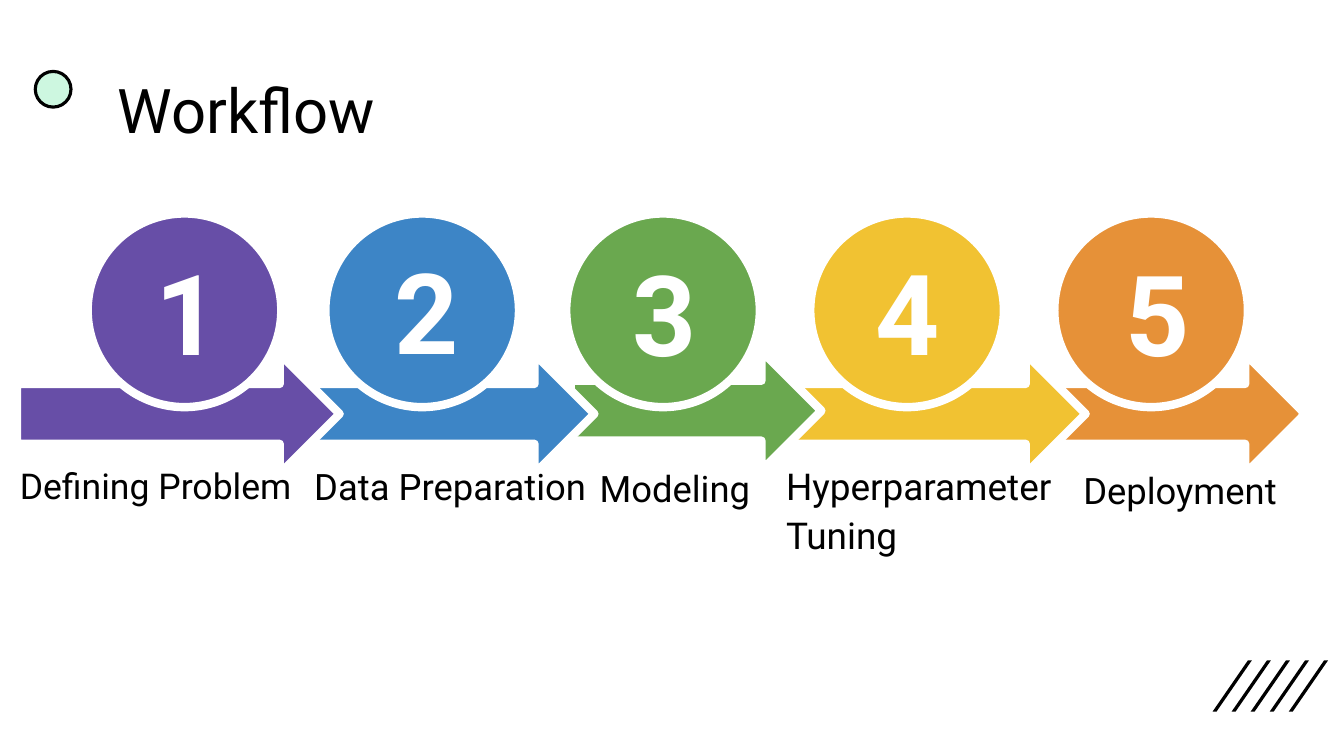
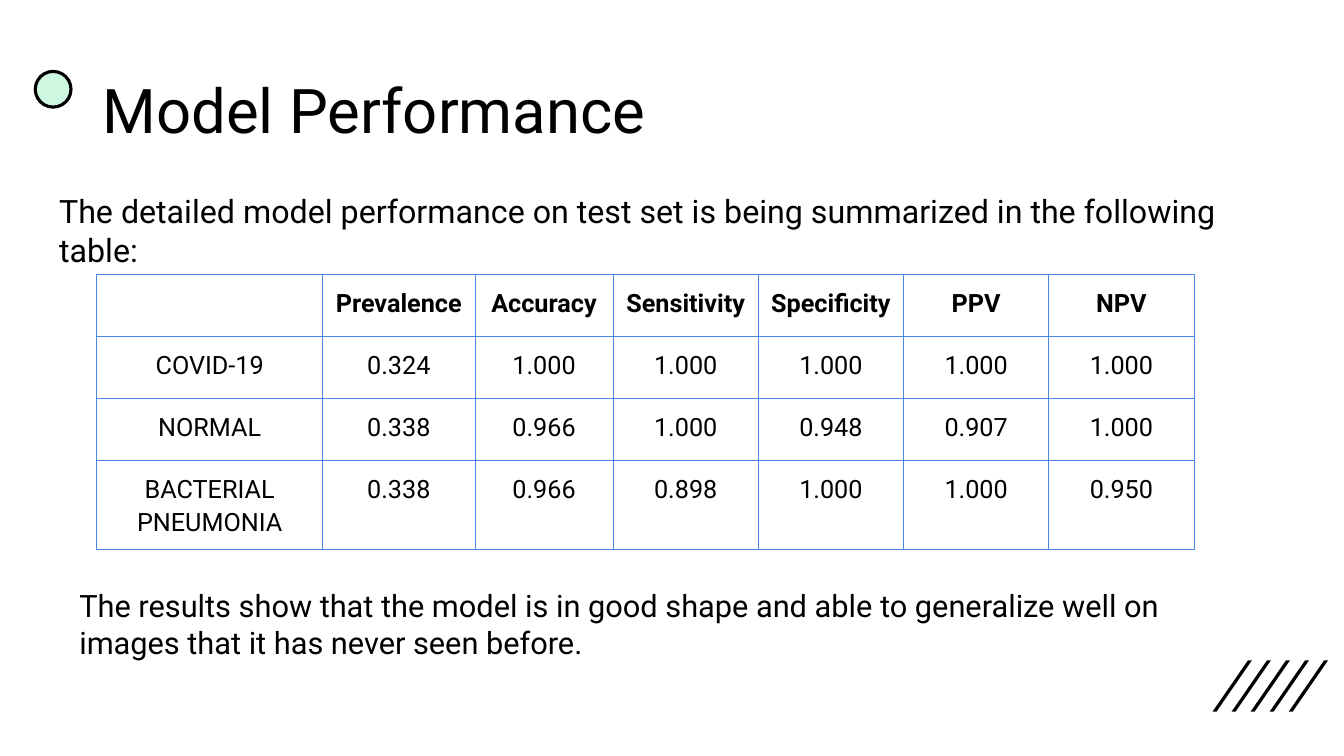
from lxml.etree import SubElement
from pptx import Presentation
from pptx.dml.color import RGBColor
from pptx.enum.shapes import MSO_SHAPE as Kind
from pptx.enum.text import MSO_ANCHOR as Anchor, PP_ALIGN as Align
from pptx.oxml.ns import qn
from pptx.util import Cm, Pt

FONT = "Roboto"
BLACK, WHITE, MINT, BLUE = "000000", "FFFFFF", "CDF7E0", "4A86E8"

STEPS = [
    dict(name="Defining Problem", color="674EA7", size=25.4, arrow=(0.43, 8.92, 8.13),
         disc=2.21, digit=(3.66, 5.89), label=(0.25, 11.33, 7.8, 3.18)),
    dict(name="Data Preparation", color="3D85C6", size=26, arrow=(7.26, 8.92, 7.72),
         disc=8.2, digit=(9.7, 5.87), label=(7.67, 11.33, 9.5, 3.18)),
    dict(name="Modeling", color="6AA84F", size=26, arrow=(14.38, 8.84, 6.32),
         disc=14.27, digit=(15.7, 5.92), label=(14.86, 11.38, 4.88, 2.24)),
    dict(name="Hyperparameter Tuning", color="F1C232", size=26.4, arrow=(19.56, 8.92, 7.8),
         disc=20.42, digit=(21.82, 5.89), label=(19.56, 11.33, 9.22, 3.18)),
    dict(name="Deployment", color="E69138", size=26, arrow=(26.57, 8.92, 6.32),
         disc=26.57, digit=(28.12, 5.92), label=(27.05, 11.43, 5.84, 1.7)),
]

INTRO = "The detailed model performance on test set is being summarized in the following table:"
RESULT = ("The results show that the model is in good shape and able to generalize well on "
          "images that it has never seen before.")
SCORES = [
    ["", "Prevalence", "Accuracy", "Sensitivity", "Specificity", "PPV", "NPV"],
    ["COVID-19", "0.324", "1.000", "1.000", "1.000", "1.000", "1.000"],
    ["NORMAL", "0.338", "0.966", "1.000", "0.948", "0.907", "1.000"],
    ["BACTERIAL PNEUMONIA", "0.338", "0.966", "0.898", "1.000", "1.000", "0.950"],
]
COLS = [5.69, 3.84, 3.48] + [3.66] * 4
ROWS = [1.56] * 3 + [2.13]


def rgb(color):
    return RGBColor.from_string(color)


def paint(shape, fill, line=None, width=0):
    shape.shadow.inherit = False
    shape.fill.solid()
    shape.fill.fore_color.rgb = rgb(fill)
    if line:
        shape.line.color.rgb = rgb(line)
        shape.line.width = Pt(width)
    else:
        shape.line.fill.background()


def add_form(slide, kind, box, *style):
    shape = slide.shapes.add_shape(kind, *map(Cm, box))
    paint(shape, *style)


def write(para, text, size, color=BLACK, bold=False, space=None):
    run = para.add_run()
    run.text = text
    font = run.font
    font.name, font.size, font.bold = FONT, Pt(size), bold
    font.color.rgb = rgb(color)
    if space:
        para.line_spacing = space


def pad(part, side=0.25, edge=0.25):
    part.margin_left = part.margin_right = Cm(side)
    part.margin_top = part.margin_bottom = Cm(edge)


def add_text(slide, box, text, size, edge=0.25, anchor=Anchor.TOP, **style):
    frame = slide.shapes.add_textbox(*map(Cm, box)).text_frame
    frame.word_wrap = True
    frame.vertical_anchor = anchor
    pad(frame, edge=edge)
    write(frame.paragraphs[0], text, size, **style)


def add_stripes(slide):
    top, base, slant, thick = 16.64, 17.93, 0.89, 0.1
    for i in range(5):
        left = 30.56 + 0.48 * i
        points = [(left + thick, base), (left, base),
                  (left + slant, top), (left + slant + thick, top)]
        first, *rest = [(Cm(x), Cm(y)) for x, y in points]
        pen = slide.shapes.build_freeform(*first)
        pen.add_line_segments(rest, close=True)
        paint(pen.convert_to_shape(), BLACK)


def add_slide(deck, title, left):
    slide = deck.slides.add_slide(deck.slide_layouts[6])
    add_stripes(slide)
    add_form(slide, Kind.OVAL, (0.89, 1.8, 0.9, 0.9), MINT, BLACK, 2.25)
    add_text(slide, (left, 1.02, 29.21, 3.68), title, 44, edge=0.13,
             anchor=Anchor.MIDDLE, space=0.9)
    return slide


def add_steps(slide):
    for step in reversed(STEPS):
        add_form(slide, Kind.RIGHT_ARROW, (*step["arrow"], 3.02), step["color"], WHITE, 6)
    for num, step in enumerate(STEPS, 1):
        add_form(slide, Kind.OVAL, (step["disc"], 5.38, 4.88, 4.88), step["color"], WHITE, 6)
        add_text(slide, (*step["digit"], 2.41, 3.02), str(num), 80, color=WHITE, bold=True)
        add_text(slide, step["label"], step["name"], step["size"], space=1.1)


def add_border(cell):
    props = cell._tc.get_or_add_tcPr()
    for side in ("lnL", "lnR", "lnT", "lnB"):
        line = SubElement(props, qn(f"a:{side}"), w=str(Pt(0.75)))
        fill = SubElement(line, qn("a:solidFill"))
        SubElement(fill, qn("a:srgbClr"), val=BLUE)


def add_scores(slide):
    box = map(Cm, (2.44, 6.92, sum(COLS), sum(ROWS)))
    table = slide.shapes.add_table(len(ROWS), len(COLS), *box).table
    table.first_row = table.horz_banding = False
    for col, width in zip(table.columns, COLS):
        col.width = Cm(width)
    for r, (row, height) in enumerate(zip(SCORES, ROWS)):
        table.rows[r].height = Cm(height)
        for c, text in enumerate(row):
            cell = table.cell(r, c)
            pad(cell)
            add_border(cell)
            cell.fill.background()
            if text:
                para = cell.text_frame.paragraphs[0]
                para.alignment = Align.CENTER
                write(para, text, 18, bold=r == 0, space=1.15)


def main():
    deck = Presentation()
    deck.slide_width, deck.slide_height = Cm(33.87), Cm(19.05)
    add_steps(add_slide(deck, "Workflow", 2.72))
    slide = add_slide(deck, "Model Performance", 2.34)
    add_text(slide, (1.75, 14.53, 28.8, 2.34), RESULT, 22)
    add_text(slide, (1.24, 4.57, 30, 2.34), INTRO, 23)
    add_scores(slide)
    deck.save("out.pptx")


if __name__ == "__main__":
    main()
